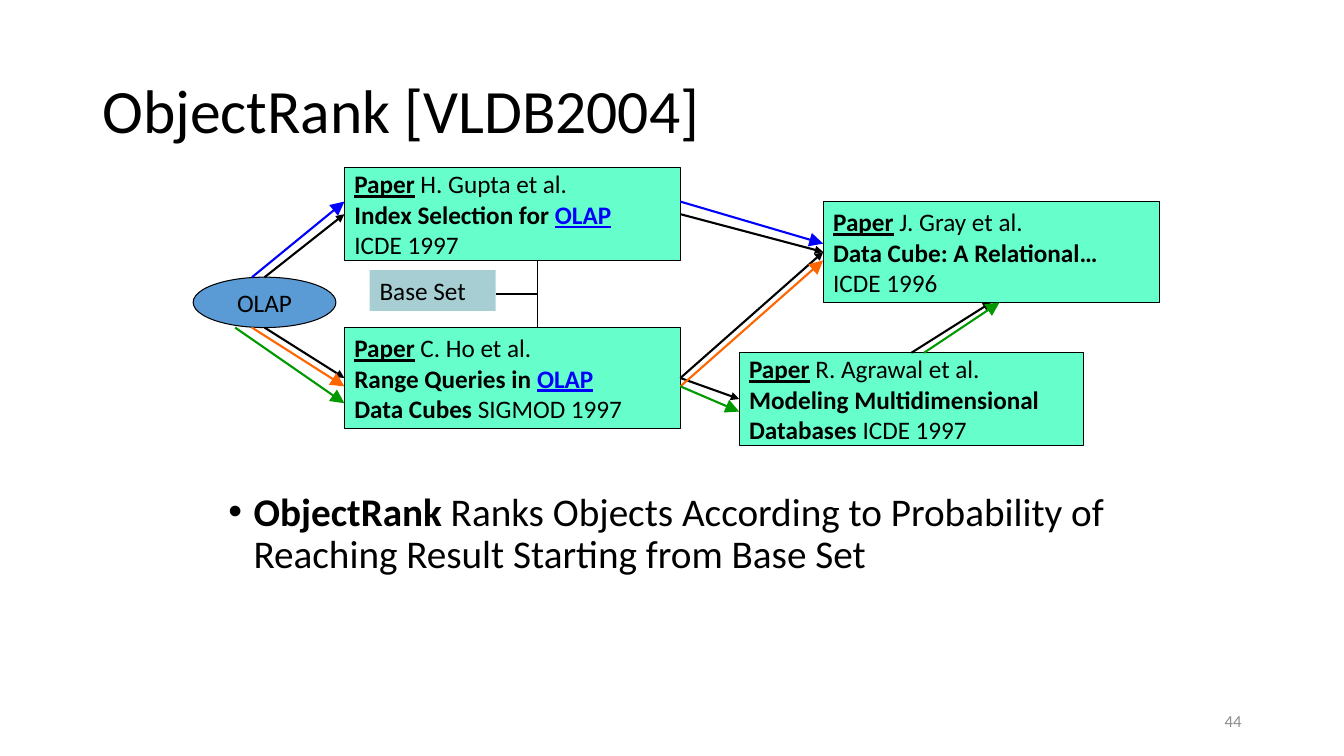
from lxml.etree import SubElement
from pptx import Presentation
from pptx.dml.color import RGBColor
from pptx.enum.shapes import MSO_CONNECTOR, MSO_SHAPE
from pptx.enum.text import MSO_ANCHOR, MSO_AUTO_SIZE, PP_ALIGN
from pptx.oxml.ns import qn
from pptx.util import Pt

HEX = {"ink": "000000", "paper": "66FFCC", "term": "5B9BD5", "base": "A7CFD3",
       "link": "0000FF", "blue": "0000FF", "orange": "FF6600",
       "green": "009900", "grey": "8C8C8C"}
TOP, LEFT, BOTTOM, RIGHT = range(4)

# Each paper: box, then lines made of (text, style) pieces
HEAD = ("Paper", "bu")
PAPERS = {
    "gray": ((588, 144, 240, 72), [
        [HEAD, (" J. Gray et al.", "")],
        [("Data Cube: A Relational…", "b")],
        [("ICDE 1996", "")]]),
    "gupta": ((246, 120, 240, 66), [
        [HEAD, (" H. Gupta et al.", "")],
        [("Index Selection for ", "b"), ("OLAP", "bul")],
        [("ICDE 1997", "")]]),
    "agrawal": ((528, 252, 246, 66), [
        [HEAD, (" R. Agrawal et al.", "")],
        [("Modeling Multidimensional", "b")],
        [("Databases ", "b"), ("ICDE 1997", "")]]),
    "ho": ((246, 234, 240, 72), [
        [HEAD, (" C. Ho et al.", "")],
        [("Range Queries in ", "b"), ("OLAP", "bul")],
        [("Data Cubes ", "b"), ("SIGMOD 1997", "")]]),
}
CITES = [("gupta", RIGHT, "gray", LEFT), ("agrawal", TOP, "gray", BOTTOM),
         ("ho", RIGHT, "agrawal", LEFT), ("ho", RIGHT, "gray", LEFT)]
FLOWS = [("blue", (180, 198), (246, 144)), ("blue", (486, 144), (588, 174)),
         ("orange", (180, 234), (246, 276)), ("orange", (486, 276), (588, 186)),
         ("green", (168, 234), (246, 288)), ("green", (486, 276), (528, 294)),
         ("green", (660, 252), (714, 216))]


def color(name):
    return RGBColor.from_string(HEX[name])


def style(font, size, name="ink", bold=False):
    font.name, font.size, font.bold = "Calibri", Pt(size), bold
    font.color.rgb = color(name)


def place(shape, box):
    shape.left, shape.top, shape.width, shape.height = map(Pt, box)


def node(slide, kind, box, fill, edge=True):
    shape = slide.shapes.add_shape(kind, *map(Pt, box))
    shape.shadow.inherit = False
    shape.fill.solid()
    shape.fill.fore_color.rgb = color(fill)
    if edge:
        shape.line.color.rgb = color("ink")
        shape.line.width = Pt(0.75)
    else:
        shape.line.fill.background()
    frame = shape.text_frame
    frame.word_wrap = True
    frame.vertical_anchor = MSO_ANCHOR.MIDDLE
    return shape


def label(shape, text, align):
    para = shape.text_frame.paragraphs[0]
    para.text = text
    para.alignment = align
    style(para.runs[0].font, 18)


def paper(slide, box, lines):
    shape = node(slide, MSO_SHAPE.RECTANGLE, box, "paper")
    para = shape.text_frame.paragraphs[0]
    para.alignment = PP_ALIGN.LEFT
    for row, line in enumerate(lines):
        if row:
            para.add_line_break()
        for text, flags in line:
            run = para.add_run()
            run.text = text
            style(run.font, 18, "link" if "l" in flags else "ink", "b" in flags)
            run.font.underline = "u" in flags
    return shape


def link(slide, start, end, name="ink", width=1.5, head=None):
    """Draw a line; head is the arrowhead size, if any."""
    line = slide.shapes.add_connector(MSO_CONNECTOR.STRAIGHT, *map(Pt, start + end))
    line.line.color.rgb = color(name)
    line.line.width = Pt(width)
    if head:
        SubElement(line.line._get_or_add_ln(), qn("a:tailEnd"),
                   type="triangle", w=head, len=head)
    SubElement(line._element.spPr, qn("a:effectLst"))
    return line


def graph(slide):
    term = (138, 198, 102, 36)
    oval = node(slide, MSO_SHAPE.OVAL, term, "term")
    label(oval, "OLAP", PP_ALIGN.CENTER)
    nodes = {key: paper(slide, *data) for key, data in PAPERS.items()}

    for src, out, dest, into in CITES:
        line = link(slide, (0, 0), (0, 0), head="med")
        line.begin_connect(nodes[src], out)
        line.end_connect(nodes[dest], into)
    left, top, width, height = term
    for dest, y in (("gupta", top), ("ho", top + height)):
        line = link(slide, (left + width / 2, y), (246, y), head="med")
        line.end_connect(nodes[dest], LEFT)
    for name, start, end in FLOWS:
        link(slide, start, end, name, head="lg")


def base(slide, box):
    shape = node(slide, MSO_SHAPE.RECTANGLE, box, "base", edge=False)
    label(shape, "Base Set", PP_ALIGN.LEFT)
    left, top, width, height = box
    edge, y = left + width, top + 17
    link(slide, (edge, y), (edge + 30, y), width=0.75)
    link(slide, (edge + 30, 234), (edge + 30, 186), width=0.75)


def title(slide, box):
    shape = slide.shapes.title
    place(shape, box)
    frame = shape.text_frame
    frame.text = "ObjectRank [VLDB2004]"
    frame.vertical_anchor = MSO_ANCHOR.MIDDLE
    frame.auto_size = MSO_AUTO_SIZE.NONE
    para = frame.paragraphs[0]
    para.alignment = PP_ALIGN.LEFT
    para.line_spacing = 0.9
    style(para.runs[0].font, 44)


def body(slide, box):
    shape = slide.placeholders[1]
    place(shape, box)
    frame = shape.text_frame
    frame.auto_size = MSO_AUTO_SIZE.NONE
    para = frame.paragraphs[0]
    props = para._p.get_or_add_pPr()
    props.set("marL", str(Pt(18)))
    props.set("indent", str(Pt(-18)))
    SubElement(props, qn("a:buFont"), typeface="Arial")
    SubElement(props, qn("a:buChar"), char="•")
    para.line_spacing = 0.9
    para.space_before = Pt(0)
    for text, bold in (("ObjectRank", True),
                       (" Ranks Objects According to Probability of Reaching "
                        "Result Starting from Base Set", False)):
        run = para.add_run()
        run.text = text
        style(run.font, 28, bold=bold)


def number(slide, box):
    frame = slide.shapes.add_textbox(*map(Pt, box)).text_frame
    frame.word_wrap = True
    frame.vertical_anchor = MSO_ANCHOR.MIDDLE
    frame.text = "44"
    para = frame.paragraphs[0]
    para.alignment = PP_ALIGN.RIGHT
    style(para.runs[0].font, 12, "grey")


def main():
    deck = Presentation()
    deck.slide_width, deck.slide_height = Pt(960), Pt(540)
    slide = deck.slides.add_slide(deck.slide_layouts[1])
    title(slide, (66, 28.75, 828, 104.4))
    graph(slide)
    body(slide, (156, 348, 648, 132))
    base(slide, (264, 193, 90, 29))
    number(slide, (678, 500.5, 216, 28.75))
    deck.save("out.pptx")


if __name__ == "__main__":
    main()
